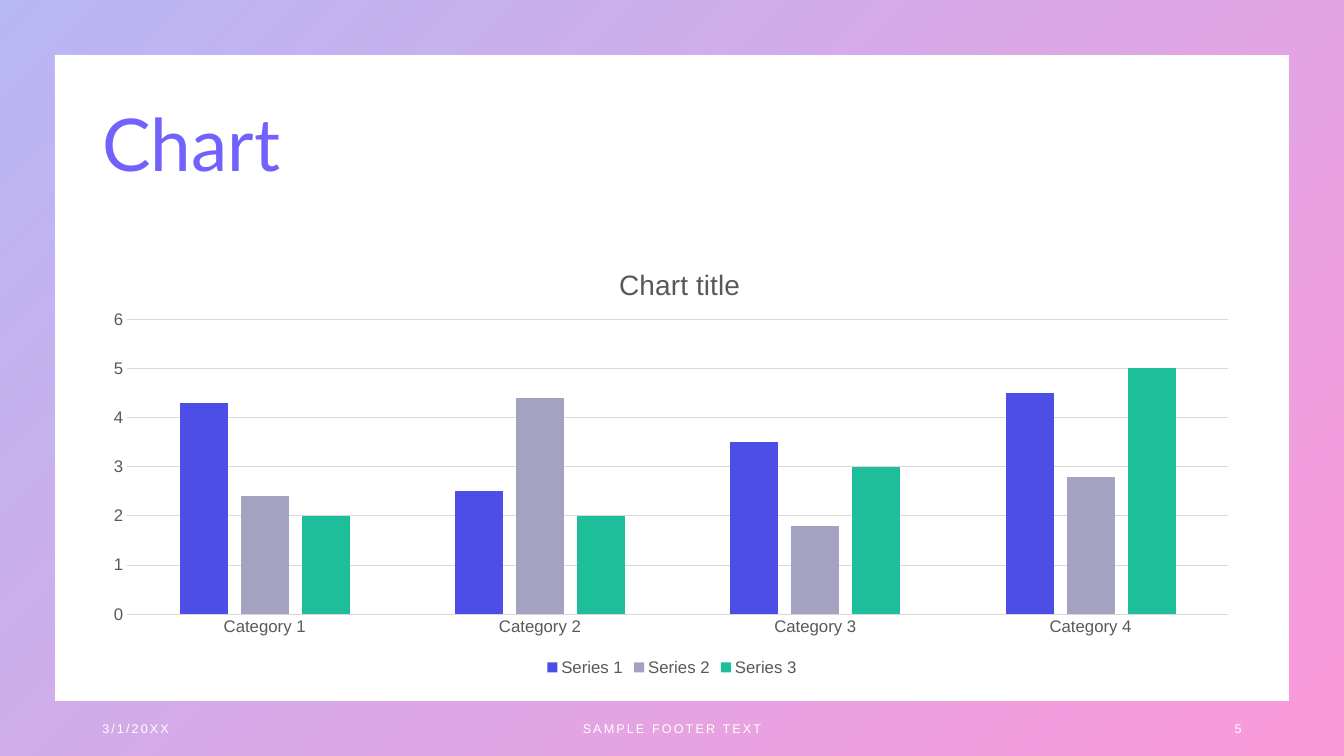
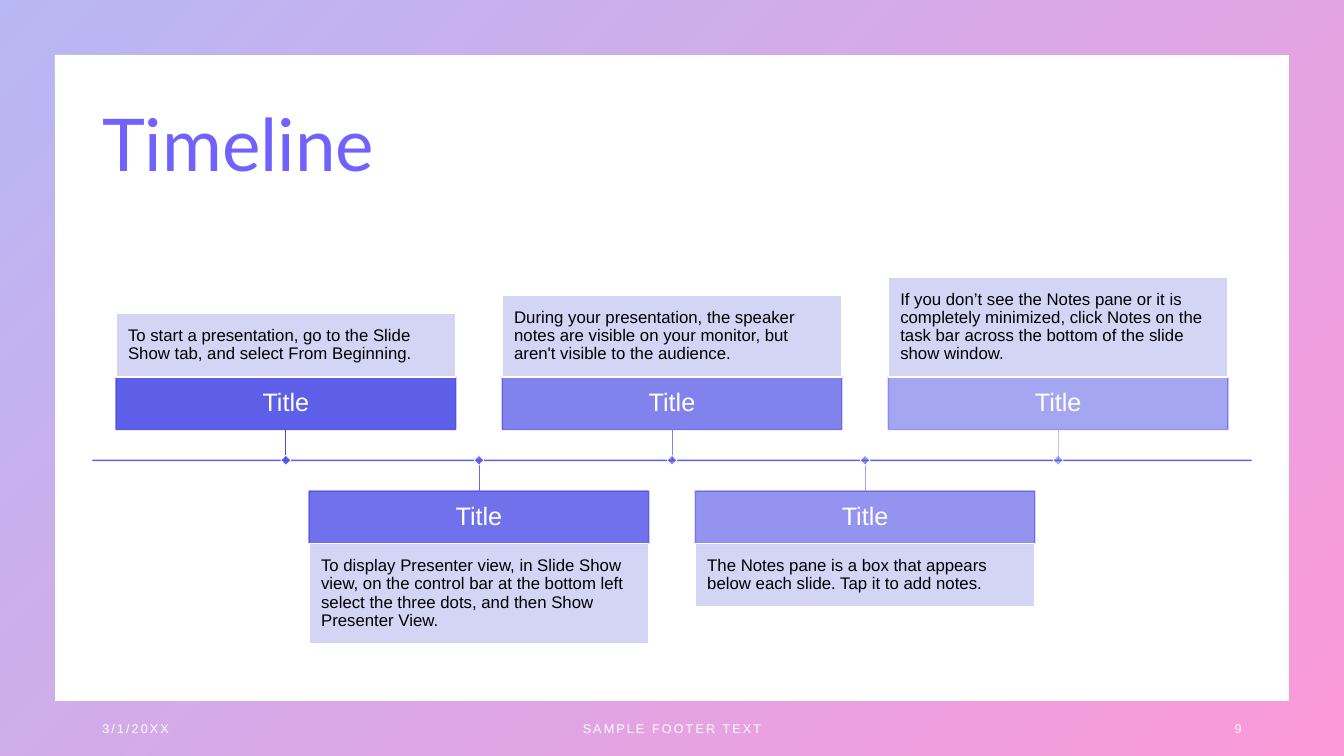
from dataclasses import dataclass

from lxml.etree import SubElement
from pptx import Presentation
from pptx.chart.data import CategoryChartData
from pptx.dml.color import RGBColor
from pptx.enum.chart import XL_CHART_TYPE as ChartType
from pptx.enum.chart import XL_LEGEND_POSITION as LegendPosition
from pptx.enum.chart import XL_TICK_MARK as TickMark
from pptx.enum.shapes import MSO_CONNECTOR as Connector
from pptx.enum.shapes import MSO_SHAPE as Preset
from pptx.enum.text import MSO_ANCHOR as Anchor
from pptx.enum.text import PP_ALIGN as Align
from pptx.oxml import parse_xml
from pptx.oxml.ns import nsdecls, qn
from pptx.util import Pt

COLORS = {
    "indigo": "4D4EE6",
    "magenta": "F900A0",
    "title": "7162FE",
    "lavender": "D0D0F5",
    "gray_violet": "A3A3C1",
    "green": "1EBE9B",
    "label": "595959",
    "grid": "D9D9D9",
    "white": "FFFFFF",
    "black": "000000",
}
WIDTH, HEIGHT = 960, 540
MARGIN = 66
CONTENT_WIDTH = WIDTH - 2 * MARGIN
BODY_FONT, TITLE_FONT = "Arial", "Lato"


@dataclass(frozen=True)
class Box:
    left: float
    top: float
    width: float
    height: float

    def lengths(self) -> tuple:
        return Pt(self.left), Pt(self.top), Pt(self.width), Pt(self.height)


@dataclass(frozen=True)
class TextStyle:
    size: float
    color: str
    font: str = BODY_FONT
    align: Align = Align.LEFT
    line_spacing: float = 1
    tracking: float = 0


@dataclass(frozen=True)
class Milestone:
    text: str
    lines: int
    stem_color: str


@dataclass(frozen=True)
class Series:
    name: str
    values: tuple
    color: str


TITLE_STYLE = TextStyle(52, COLORS["title"], TITLE_FONT, line_spacing=0.9)
CARD_TITLE_STYLE = TextStyle(18, COLORS["white"], align=Align.CENTER, line_spacing=0.9)
CARD_BODY_STYLE = TextStyle(12, COLORS["black"], line_spacing=0.9)

CATEGORIES = [f"Category {number}" for number in range(1, 5)]
SERIES = [
    Series("Series 1", (4.3, 2.5, 3.5, 4.5), COLORS["indigo"]),
    Series("Series 2", (2.4, 4.4, 1.8, 2.8), COLORS["gray_violet"]),
    Series("Series 3", (2, 2, 3, 5), COLORS["green"]),
]
MILESTONES = [
    Milestone("To start a presentation, go to the Slide Show tab, and select "
              "From Beginning.", 2, "4A4BDC"),
    Milestone("To display Presenter view, in Slide Show view, on the control bar "
              "at the bottom left select the three dots, and then Show Presenter View.",
              4, "6868E2"),
    Milestone("During your presentation, the speaker notes are visible on your "
              "monitor, but aren't visible to the audience.", 3, "8686E7"),
    Milestone("The Notes pane is a box that appears below each slide. Tap it to "
              "add notes.", 2, "A4A4ED"),
    Milestone("If you don’t see the Notes pane or it is completely minimized, click "
              "Notes on the task bar across the bottom of the slide show window.",
              4, "C2C2F3"),
]


# Drawing helpers
def rgb(color: str) -> RGBColor:
    return RGBColor.from_string(color)


def fade(shape, percent: int) -> None:
    """Make every colour set so far on the shape translucent."""
    for color in shape.element.spPr.xpath(".//a:srgbClr"):
        SubElement(color, qn("a:alpha")).set("val", str(percent * 1000))


def set_line(line, color: str, width: float) -> None:
    line.color.rgb = rgb(color)
    line.width = Pt(width)


def set_font(font, size: float, color: str, name: str = BODY_FONT) -> None:
    font.name, font.size = name, Pt(size)
    font.color.rgb = rgb(color)


def write(shape, text: str, style: TextStyle, inset: float | None = None) -> None:
    frame = shape.text_frame
    frame.word_wrap = True
    frame.vertical_anchor = Anchor.MIDDLE
    if inset is not None:
        frame.margin_left = frame.margin_right = Pt(inset)
        frame.margin_top = frame.margin_bottom = Pt(inset)
    paragraph = frame.paragraphs[0]
    paragraph.text = text
    paragraph.alignment = style.align
    paragraph.line_spacing = style.line_spacing
    set_font(paragraph.font, style.size, style.color, style.font)
    if style.tracking:
        for properties in shape.element.xpath(".//a:defRPr"):
            properties.set("spc", str(round(style.tracking * 100)))


def add_text(slide, box: Box, text: str, style: TextStyle) -> None:
    write(slide.shapes.add_textbox(*box.lengths()), text, style)


def add_rectangle(slide, box: Box, fill: str, opacity: int):
    shape = slide.shapes.add_shape(Preset.RECTANGLE, *box.lengths())
    shape.shadow.inherit = False
    shape.fill.solid()
    shape.fill.fore_color.rgb = rgb(fill)
    fade(shape, opacity)
    return shape


def add_line(slide, start: tuple, end: tuple, color: str, width: float):
    points = [Pt(value) for value in (*start, *end)]
    connector = slide.shapes.add_connector(Connector.STRAIGHT, *points)
    set_line(connector.line, color, width)
    SubElement(connector.element.spPr, qn("a:effectLst"))
    return connector


def add_base_slide(presentation, title: str, number: int):
    """Add a slide with the gradient frame, title and footers."""
    slide = presentation.slides.add_slide(presentation.slide_layouts[6])
    frame = slide.shapes.add_shape(Preset.FRAME, 0, 0, Pt(WIDTH), Pt(HEIGHT))
    frame.adjustments[0] = 0.072
    frame.shadow.inherit = False
    frame.fill.gradient()
    frame.fill.gradient_angle = 315
    for stop, color in zip(frame.fill.gradient_stops, ("indigo", "magenta")):
        stop.color.rgb = rgb(COLORS[color])
    fade(frame, 40)
    frame.line.fill.background()

    add_text(slide, Box(MARGIN, 53.5, CONTENT_WIDTH, 104.5), title, TITLE_STYLE)
    footers = [
        (MARGIN, 216, "3/1/20XX", Align.LEFT),
        (318, 324, "SAMPLE FOOTER TEXT", Align.CENTER),
        (WIDTH - MARGIN - 216, 216, str(number), Align.RIGHT),
    ]
    for left, width, text, align in footers:
        style = TextStyle(9, COLORS["white"], align=align, tracking=1.5)
        add_text(slide, Box(left, 506, width, 29), text, style)
    return slide


# Chart slide
def set_layout(parent, left: float, top: float, size: tuple | None = None) -> None:
    """Place a chart part by fractions of the chart area."""
    for old in parent.findall(qn("c:layout")):
        parent.remove(old)
    settings = [("xMode", "edge"), ("yMode", "edge"), ("x", left), ("y", top)]
    if size:
        settings.insert(0, ("layoutTarget", "inner"))
        settings += [("w", size[0]), ("h", size[1])]
    items = "".join(f'<c:{name} val="{value}"/>' for name, value in settings)
    layout = parse_xml(f"<c:layout {nsdecls('c')}><c:manualLayout>{items}"
                       "</c:manualLayout></c:layout>")
    text = parent.find(qn("c:tx"))
    parent.insert(0 if text is None else 1, layout)


def add_column_chart(slide) -> None:
    data = CategoryChartData()
    data.categories = CATEGORIES
    for series in SERIES:
        data.add_series(series.name, series.values)
    box = Box(MARGIN, 171.5, CONTENT_WIDTH, 314.5)
    chart = slide.shapes.add_chart(ChartType.COLUMN_CLUSTERED, *box.lengths(), data).chart
    set_font(chart.font, 12, COLORS["label"])

    chart.has_title = True
    heading = chart.chart_title
    heading.include_in_layout = False
    paragraph = heading.text_frame.paragraphs[0]
    paragraph.text = "Chart title"
    set_font(paragraph.font, 20, COLORS["label"])
    paragraph.font.bold = False
    set_layout(heading.element, 0.45, 0.05)

    chart.has_legend = True
    chart.legend.position = LegendPosition.BOTTOM
    chart.legend.include_in_layout = False

    plot = chart.plots[0]
    plot.gap_width, plot.overlap = 219, -27
    plot.vary_by_categories = False
    for drawn, series in zip(plot.series, SERIES):
        drawn.format.fill.solid()
        drawn.format.fill.fore_color.rgb = rgb(series.color)
    set_layout(chart.element.xpath(".//c:plotArea")[0], 0.03, 0.18, (0.95, 0.67))

    for axis in (chart.category_axis, chart.value_axis):
        axis.major_tick_mark = axis.minor_tick_mark = TickMark.NONE
        set_font(axis.tick_labels.font, 12, COLORS["label"])
    set_line(chart.category_axis.format.line, COLORS["grid"], 0.75)
    values = chart.value_axis
    values.minimum_scale, values.maximum_scale, values.major_unit = 0, 6, 1
    values.format.line.fill.background()
    set_line(values.major_gridlines.format.line, COLORS["grid"], 0.75)


# Timeline slide
AXIS_Y = 328.8
STEP = 137.9
STEM = 22
CARD_WIDTH, BAR_HEIGHT = 242.5, 37.5
MARKER = 5


def add_milestone(slide, index: int, milestone: Milestone) -> None:
    """Draw one card, above the axis for even indexes and below for odd ones."""
    above = index % 2 == 0
    opacity = 90 - 10 * index
    center = WIDTH / 2 + (index - 2) * STEP
    left = center - CARD_WIDTH / 2
    body_height = 19.5 + 12.95 * milestone.lines
    if above:
        stem_end = AXIS_Y - STEM
        bar_top = stem_end - BAR_HEIGHT
        body_top = bar_top - body_height
    else:
        stem_end = bar_top = AXIS_Y + STEM
        body_top = bar_top + BAR_HEIGHT

    bar = add_rectangle(slide, Box(left, bar_top, CARD_WIDTH, BAR_HEIGHT),
                        COLORS["indigo"], opacity)
    set_line(bar.line, COLORS["indigo"], 1)
    for color in bar.line.fill.fore_color, :
        color.rgb = rgb(COLORS["indigo"])
    SubElement(bar.element.spPr.xpath("./a:ln//a:srgbClr")[0],
               qn("a:alpha")).set("val", str(opacity * 1000))
    write(bar, "Title", CARD_TITLE_STYLE, 7.2)

    body = add_rectangle(slide, Box(left, body_top, CARD_WIDTH, body_height),
                         COLORS["lavender"], 90)
    set_line(body.line, COLORS["white"], 1)
    write(body, milestone.text, CARD_BODY_STYLE, 8.5)

    add_line(slide, (center, stem_end), (center, AXIS_Y), milestone.stem_color, 0.5)
    marker = add_rectangle(
        slide, Box(center - MARKER / 2, AXIS_Y - MARKER / 2, MARKER, MARKER),
        COLORS["indigo"], opacity)
    marker.rotation = 45
    set_line(marker.line, COLORS["white"], 0.5)


def add_timeline(slide) -> None:
    axis = add_line(slide, (MARGIN, AXIS_Y), (WIDTH - MARGIN, AXIS_Y), COLORS["indigo"], 1)
    fade(axis, 90)
    for index, milestone in enumerate(MILESTONES):
        add_milestone(slide, index, milestone)


def main() -> None:
    presentation = Presentation()
    presentation.slide_width, presentation.slide_height = Pt(WIDTH), Pt(HEIGHT)
    add_column_chart(add_base_slide(presentation, "Chart", 5))
    add_timeline(add_base_slide(presentation, "Timeline", 9))
    presentation.save("out.pptx")


if __name__ == "__main__":
    main()
